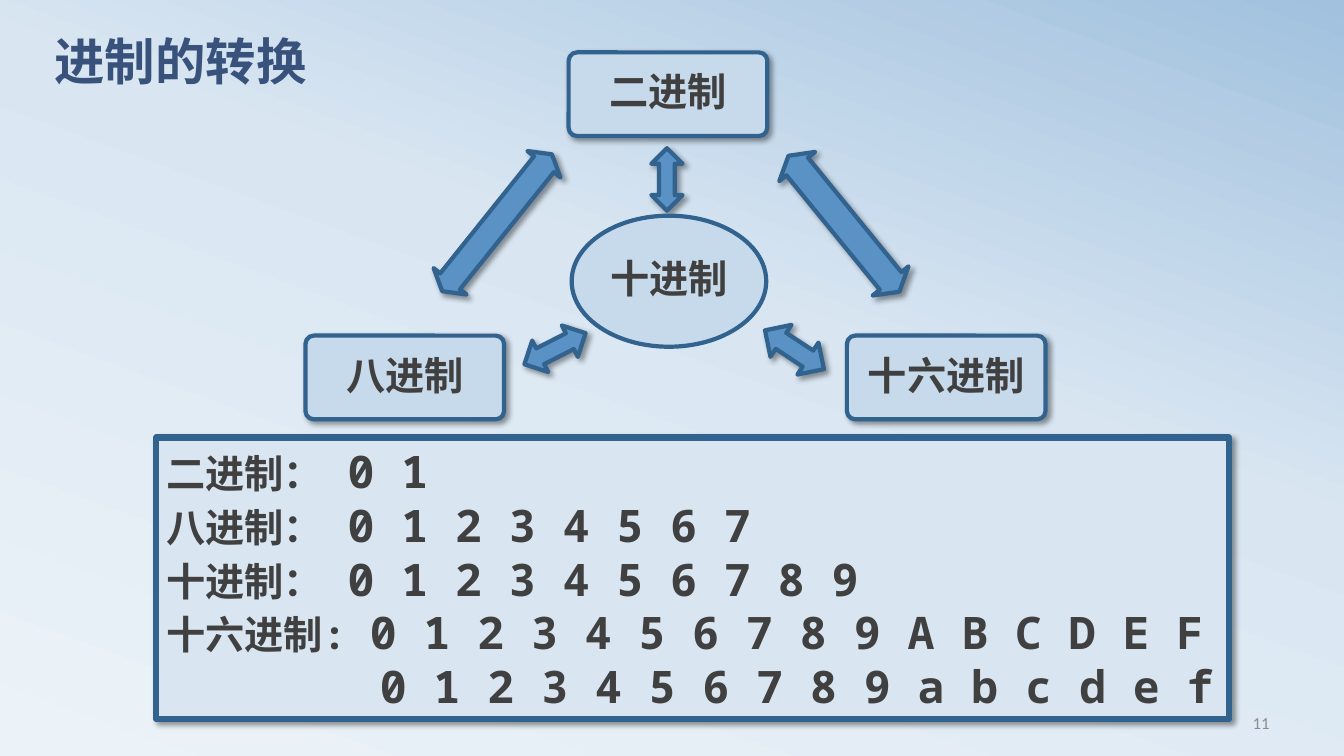
from copy import deepcopy
from dataclasses import dataclass

from lxml.etree import SubElement
from pptx import Presentation
from pptx.dml.color import RGBColor
from pptx.enum.shapes import MSO_SHAPE as Preset
from pptx.enum.text import MSO_ANCHOR as Anchor, PP_ALIGN as Align
from pptx.oxml import parse_xml
from pptx.oxml.ns import nsdecls, qn
from pptx.shapes.autoshape import Shape
from pptx.slide import Slide
from pptx.text.text import Font
from pptx.util import Inches, Pt


@dataclass(frozen=True)
class Theme:
    background: tuple = ((0, "ECF3F8"), (0.58, "D9E6F2"), (1, "A1C1DE"))
    panel: str = "D9E6F2"
    node: str = "C7DAEB"
    arrow: str = "5A92C5"
    outline: str = "32628E"
    title: str = "39527B"
    text: str = "404040"
    page_number: str = "8C8C8C"
    heading_font: str = "Calibri"
    node_font: str = "Noto Sans CJK SC"
    digit_font: str = "Noto Sans Mono"
    title_size: int = 36
    digit_size: int = 32
    label_size: int = 28
    page_number_size: int = 12


@dataclass(frozen=True)
class Box:
    left: float
    top: float
    width: float
    height: float

    def emu(self) -> tuple:
        return tuple(Inches(v) for v in (self.left, self.top, self.width, self.height))


@dataclass(frozen=True)
class Node:
    label: str
    box: Box
    preset: Preset = Preset.ROUNDED_RECTANGLE
    shadow: bool = True


@dataclass(frozen=True)
class Arrow:
    box: Box
    rotation: float = 0
    preset: Preset = Preset.UP_DOWN_ARROW
    adjustments: tuple = (0.5, 0.5)


@dataclass(frozen=True)
class DigitRow:
    label: str
    digits: str
    tab: float = 0
    indent: float = 0


THEME = Theme()
NODES = (
    Node("二进制", Box(5.64, 0.52, 1.97, 0.83)),
    Node("八进制", Box(3.03, 3.33, 1.97, 0.83)),
    Node("十六进制", Box(8.4, 3.33, 1.97, 0.83)),
    Node("十进制", Box(5.67, 2.14, 1.93, 1.3), Preset.OVAL, shadow=False),
)
LONG_HEADS = (0.6, 0.3)
ARROWS = (
    Arrow(Box(7.5, 1.99, 1.74, 0.46), 50.8, Preset.LEFT_RIGHT_ARROW, LONG_HEADS),
    Arrow(Box(4.06, 2, 1.74, 0.42), 308.7, Preset.LEFT_RIGHT_ARROW, LONG_HEADS),
    Arrow(Box(6.46, 1.47, 0.31, 0.62)),
    Arrow(Box(5.33, 3.12, 0.35, 0.68), 63),
    Arrow(Box(7.69, 3.12, 0.38, 0.7), 303.4),
)
DIGIT_COLUMN = 1.8
DIGIT_ROWS = (
    DigitRow("二进制：", "0 1", tab=DIGIT_COLUMN),
    DigitRow("八进制：", "0 1 2 3 4 5 6 7", tab=DIGIT_COLUMN),
    DigitRow("十进制：", "0 1 2 3 4 5 6 7 8 9", tab=DIGIT_COLUMN),
    DigitRow("十六进制: ", "0 1 2 3 4 5 6 7 8 9 A B C D E F"),
    DigitRow("", "0 1 2 3 4 5 6 7 8 9 a b c d e f", indent=2.12),
)


def style_font(font: Font, name: str, size: int, color: str, bold: bool = True) -> None:
    font.name, font.size, font.bold = name, Pt(size), bold
    font.color.rgb = RGBColor.from_string(color)


def paint_background(slide: Slide) -> None:
    fill = slide.background.fill
    fill.gradient()
    fill.gradient_angle = 70
    stop_list = slide.element.xpath(".//a:gsLst")[0]
    stop_list.append(deepcopy(stop_list[0]))
    for stop, (position, color) in zip(fill.gradient_stops, THEME.background):
        stop.position = position
        stop.color.rgb = RGBColor.from_string(color)


def add_outlined(slide: Slide, preset: Preset, box: Box, fill: str,
                 line_width: float = 3, shadow: bool = True) -> Shape:
    shape = slide.shapes.add_shape(preset, *box.emu())
    shape.fill.solid()
    shape.fill.fore_color.rgb = RGBColor.from_string(fill)
    shape.line.color.rgb = RGBColor.from_string(THEME.outline)
    shape.line.width = Pt(line_width)
    shape.shadow.inherit = False
    if shadow:
        effects = shape.element.spPr.find(qn("a:effectLst"))
        effects.append(parse_xml(
            f'<a:outerShdw {nsdecls("a")} blurRad="{Pt(4)}" dist="{Pt(3)}" dir="2700000"'
            ' algn="tl" rotWithShape="0"><a:srgbClr val="000000">'
            '<a:alpha val="40000"/></a:srgbClr></a:outerShdw>'))
    return shape


def add_node(slide: Slide, node: Node) -> None:
    shape = add_outlined(slide, node.preset, node.box, THEME.node, shadow=node.shadow)
    if node.preset == Preset.ROUNDED_RECTANGLE:
        shape.adjustments[0] = 0.1
    frame = shape.text_frame
    frame.margin_left = frame.margin_right = Inches(0.01)
    frame.margin_top = frame.margin_bottom = Inches(0.01)
    frame.vertical_anchor = Anchor.MIDDLE
    label = frame.paragraphs[0]
    label.text = node.label
    label.alignment = Align.CENTER
    label.line_spacing = 0.9
    style_font(label.font, THEME.node_font, THEME.label_size, THEME.text)


def add_arrow(slide: Slide, arrow: Arrow) -> None:
    shape = add_outlined(slide, arrow.preset, arrow.box, THEME.arrow)
    shape.rotation = arrow.rotation
    for index, value in enumerate(arrow.adjustments):
        shape.adjustments[index] = value


def add_digit_panel(slide: Slide) -> None:
    panel = add_outlined(slide, Preset.RECTANGLE, Box(1.55, 4.34, 10.64, 2.79),
                         THEME.panel, line_width=4.5)
    frame = panel.text_frame
    frame.word_wrap = True
    frame.vertical_anchor = Anchor.MIDDLE
    for index, row in enumerate(DIGIT_ROWS):
        line = frame.add_paragraph() if index else frame.paragraphs[0]
        line.alignment = Align.LEFT
        style_font(line.font, THEME.digit_font, THEME.digit_size, THEME.text)
        if row.label:
            label = line.add_run()
            label.text = row.label + ("\t" if row.tab else "")
            label.font.size = Pt(THEME.label_size)
        line.add_run().text = row.digits
        properties = line._p.get_or_add_pPr()
        if row.indent:
            properties.set("marL", str(Inches(row.indent)))
            properties.set("indent", "0")
        if row.tab:
            tabs = SubElement(properties, qn("a:tabLst"))
            SubElement(tabs, qn("a:tab"), pos=str(Inches(row.tab)), algn="l")
            properties.find(qn("a:defRPr")).addprevious(tabs)


def add_title(slide: Slide) -> None:
    title = slide.shapes.title
    title.left, title.top, title.width, title.height = Box(0.44, 0.36, 12, 0.94).emu()
    title.text_frame.vertical_anchor = Anchor.TOP
    heading = title.text_frame.paragraphs[0]
    heading.text = "进制的转换"
    heading.alignment = Align.LEFT
    heading.line_spacing = 0.8
    style_font(heading.font, THEME.heading_font, THEME.title_size, THEME.title)


def add_page_number(slide: Slide) -> None:
    frame = slide.shapes.add_textbox(*Box(9.58, 6.97, 3.11, 0.4).emu()).text_frame
    frame.word_wrap = True
    frame.vertical_anchor = Anchor.MIDDLE
    number = frame.paragraphs[0]
    number.text = "11"
    number.alignment = Align.RIGHT
    style_font(number.font, THEME.heading_font, THEME.page_number_size,
               THEME.page_number, bold=False)


def main() -> None:
    deck = Presentation()
    deck.slide_width, deck.slide_height = Inches(13.33), Inches(7.5)
    slide = deck.slides.add_slide(deck.slide_layouts[5])
    paint_background(slide)
    add_page_number(slide)
    add_title(slide)
    add_digit_panel(slide)
    for arrow in ARROWS:
        add_arrow(slide, arrow)
    for node in NODES:
        add_node(slide, node)
    deck.save("out.pptx")


if __name__ == "__main__":
    main()
